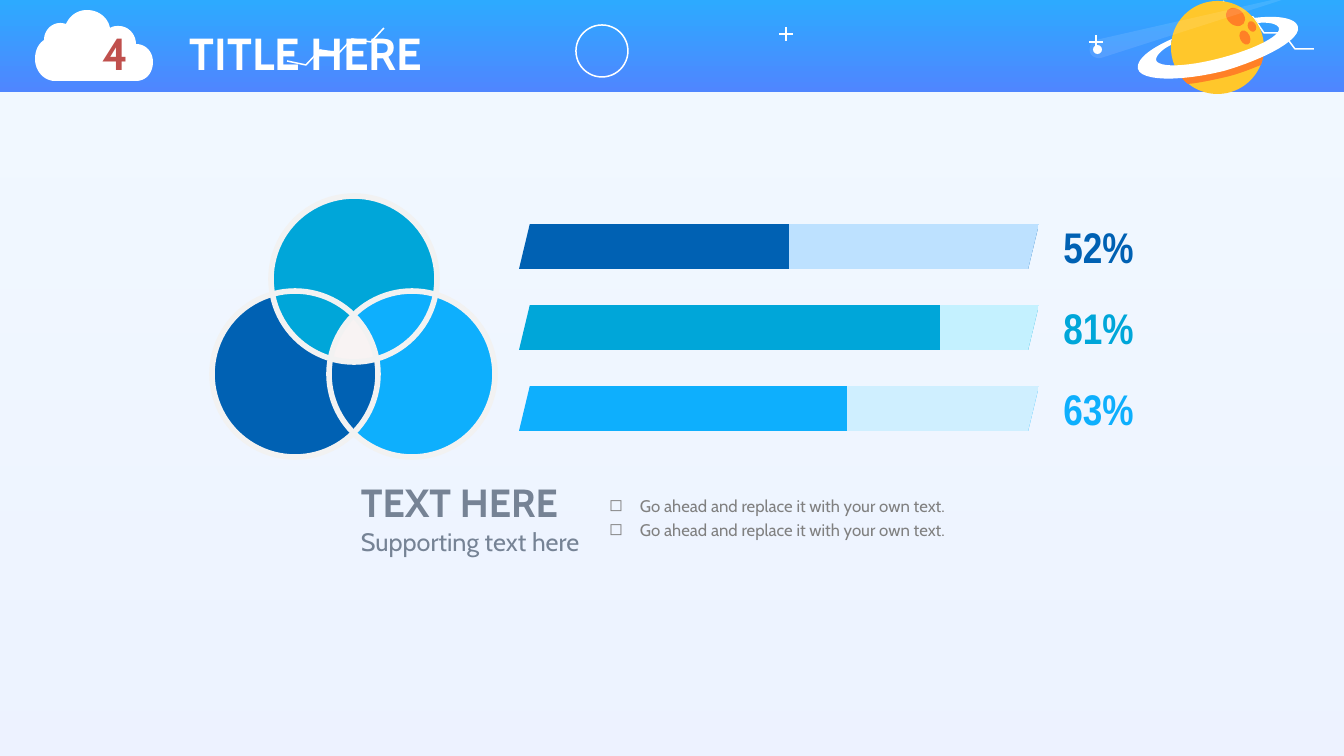
import math

import pptx
import pptx.dml.color
import pptx.enum.shapes
import pptx.enum.text
import pptx.oxml
import pptx.oxml.ns
import pptx.util

PX = 914400 / 100.8
SHAPE = pptx.enum.shapes.MSO_SHAPE
ALIGN = pptx.enum.text.PP_ALIGN
ANCHOR = pptx.enum.text.MSO_ANCHOR
COLORS = {
    "white": "FFFFFF", "sky": "2DAAFF", "indigo": "4F86FF", "mist": "81CBFF",
    "planet": "FFC72B", "orange": "FF8026", "red": "C0504D",
    "navy": "0061B3", "teal": "00A6D9", "azure": "0EAFFD",
    "navy_pale": "BDE1FF", "teal_pale": "C4F1FF", "azure_pale": "CFEFFF",
    "core": "F8F3F3", "ring": "F2F2F2", "slate": "768395", "gray": "808080",
}
BARS = [("navy", 52), ("teal", 81), ("azure", 63)]
CLOUD = [(52, 0), (63, 0, 73, 7, 75, 18), (78, 16, 81, 16, 84, 16), (93, 16, 101, 24, 101, 34),
         (111, 34, 118, 42, 118, 52), (118, 63, 111, 71, 101, 71), (20, 71), (9, 71, 0, 61, 0, 49),
         (0, 41, 3, 34, 9, 30), (9, 21, 16, 13, 25, 13), (26, 13, 28, 13, 31, 14),
         (35, 5, 43, 0, 52, 0)]
BAND = [(124, 65), (126, 59, 127, 55, 128, 49), (118, 55, 103, 60, 86, 65),
        (69, 69, 53, 72, 41, 72), (44, 77, 47, 81, 51, 84), (62, 83, 76, 80, 89, 77),
        (102, 74, 114, 69, 124, 65)]
ORBIT = [(117, 18), (118, 19, 120, 21, 121, 23), (133, 22, 140, 24, 142, 28),
         (144, 36, 118, 49, 84, 58), (50, 67, 21, 68, 19, 60), (19, 56, 24, 50, 34, 45),
         (34, 43, 34, 41, 35, 39), (12, 49, -1, 60, 1, 69), (4, 81, 42, 82, 87, 71),
         (131, 58, 164, 39, 161, 27), (159, 18, 141, 15, 117, 18)]
COMET = [(1272, 0), (1282, 0), (1101, 58), (1096, 59, 1091, 56, 1090, 52),
         (1089, 47, 1091, 42, 1096, 40)]
ZIGZAGS = [[(287, 61), (306, 65), (320, 50), (339, 53), (352, 39), (371, 42), (384, 28)],
           [(1223, 1), (1234, 17), (1253, 17), (1264, 33), (1283, 33), (1295, 49), (1314, 49)]]


def emu(*lengths):
    """Turn px lengths into EMU."""
    return [round(v * PX) for v in lengths]


def rgb(name):
    """Return a named colour."""
    return pptx.dml.color.RGBColor.from_string(COLORS[name])


def assign(obj, **values):
    """Set attributes from format values."""
    for key, value in values.items():
        setattr(obj, key, value)


def paint(sp, fill=None, line=None, width=1.08):
    """Give a shape a plain fill and line, and no shadow."""
    sp.shadow.inherit = False
    for part, color in ((sp.fill, fill), (sp.line.fill, line)):
        if color:
            part.solid()
            part.fore_color.rgb = rgb(color)
        else:
            part.background()
    if line:
        sp.line.width = pptx.util.Pt(width)
    return sp


def blend(sp, stops, angle=0, alpha=100):
    """Fill a shape with gradient stops."""
    sp.fill.gradient()
    sp.fill.gradient_angle = angle
    gs_list = sp.element.spPr.find(".//" + pptx.oxml.ns.qn("a:gsLst"))
    for old in list(gs_list):
        gs_list.remove(old)
    for place, color in stops:
        gs_list.append(pptx.oxml.parse_xml(
            f'<a:gs {pptx.oxml.ns.nsdecls("a")} pos="{place * 1000}"><a:srgbClr val="{COLORS[color]}">'
            f'<a:alpha val="{alpha * 1000}"/></a:srgbClr></a:gs>'))


def preset(s, kind, box, **look):
    """Add a painted preset shape."""
    return paint(s.shapes.add_shape(kind, *emu(*box)), **look)


def outline(s, points, closed=True, **look):
    """Add a painted freeform through points."""
    corners = [emu(*point) for point in points]
    builder = s.shapes.build_freeform(*corners[0], scale=1.0)
    builder.add_line_segments(corners[1:], close=closed)
    return paint(builder.convert_to_shape(), **look)


def trace(segments, x=0, y=0, steps=12):
    """Sample straight and cubic segments into points."""
    points = [segments[0]]
    for seg in segments[1:]:
        if len(seg) == 2:
            points.append(seg)
            continue
        knots = [points[-1], seg[:2], seg[2:4], seg[4:]]
        for i in range(1, steps + 1):
            t = i / steps
            weights = [math.comb(3, k) * t ** k * (1 - t) ** (3 - k) for k in range(4)]
            points.append(tuple(sum(w * k[axis] for w, k in zip(weights, knots)) for axis in (0, 1)))
    return [(x + px, y + py) for px, py in points]


def write(p, text, color, size, bold=False, font="Cabin"):
    """Add a formatted run to a paragraph."""
    r = p.add_run()
    r.text = text
    assign(r.font, name=font, size=pptx.util.Pt(size), bold=bold)
    r.font.color.rgb = rgb(color)


def text_box(s, box, inset=True, **frame):
    """Add a text box and return its frame."""
    tf = s.shapes.add_textbox(*emu(*box)).text_frame
    assign(tf, word_wrap=True)
    if not inset:
        assign(tf, margin_left=0, margin_right=0, margin_top=0, margin_bottom=0)
    assign(tf, **frame)
    return tf


def planet(s, x, y):
    """Draw the ringed planet."""
    preset(s, SHAPE.OVAL, (x + 34, y + 1, 93, 93), fill="planet")
    outline(s, trace(BAND, x, y), fill="orange")
    outline(s, trace(ORBIT, x, y), fill="white")
    for left, top, w, h, turn in ((88, 9, 21, 16, 40), (111, 21, 8, 11, -25), (103, 30, 10, 15, -25)):
        preset(s, SHAPE.OVAL, (x + left, y + top, w, h), fill="orange").rotation = turn


def plus(s, x, y, arm=7):
    """Draw a thin plus sign around a centre."""
    for dx, dy in ((arm, 0), (0, arm)):
        c = s.shapes.add_connector(pptx.enum.shapes.MSO_CONNECTOR.STRAIGHT,
                                   *emu(x - dx, y - dy, x + dx, y + dy))
        c.line.color.rgb = rgb("white")
        c.line.width = pptx.util.Pt(1.08)
        c.element.spPr.append(pptx.oxml.parse_xml(f'<a:effectLst {pptx.oxml.ns.nsdecls("a")}/>'))


def header(s, x, y, w, h):
    """Draw the banner with its sky art, cloud and title."""
    blend(preset(s, SHAPE.RECTANGLE, (x, y, w, h)), [(0, "sky"), (100, "indigo")], 270)
    for zigzag in ZIGZAGS:
        outline(s, trace(zigzag, x, y), closed=False, line="white")
    preset(s, SHAPE.OVAL, (x + 576, y + 25, 52, 52), line="white")
    plus(s, x + 1096, y + 42)
    plus(s, x + 786, y + 34)
    planet(s, x + 1137, y)
    preset(s, SHAPE.OVAL, (x + 1093, y + 45, 9, 9), fill="white")
    blend(outline(s, trace(COMET, x, y)), [(0, "white"), (100, "white")], alpha=10)
    outline(s, trace(CLOUD, x + 35, y + 10), fill="white")
    title = s.shapes.title
    s.shapes.element.append(title.element)
    assign(title, **dict(zip(("left", "top", "width", "height"), emu(x + 15, y + 21, 495, 64))))
    tf = title.text_frame
    assign(tf, margin_left=emu(88)[0], vertical_anchor=ANCHOR.MIDDLE, word_wrap=True,
           auto_size=pptx.enum.text.MSO_AUTO_SIZE.NONE)
    p = tf.paragraphs[0]
    p.alignment = ALIGN.LEFT
    p._p.get_or_add_pPr().append(pptx.oxml.parse_xml(
        f'<a:tabLst {pptx.oxml.ns.nsdecls("a")}><a:tab pos="{emu(87)[0]}" algn="l"/></a:tabLst>'))
    write(p, "4\t", "red", 32, True)
    write(p, "TITLE HERE", "white", 32, True)


def overlap(centers, radius):
    """Return the outline shared by several equal circles."""
    points = []
    for cx, cy in centers:
        for degree in range(360):
            a = math.radians(degree)
            point = (cx + radius * math.cos(a), cy + radius * math.sin(a))
            if all(math.dist(point, c) <= radius + 0.01 for c in centers):
                points.append(point)
    mx, my = (sum(axis) / len(points) for axis in zip(*points))
    return sorted(points, key=lambda q: math.atan2(q[1] - my, q[0] - mx))


def venn(s, x, y, radius=83):
    """Draw three interlocking circles."""
    top, right, left = centers = [(x + 142, y + 83), (x + 200, y + 178), (x + 83, y + 178)]
    discs = [(cx - radius, cy - radius, 2 * radius, 2 * radius) for cx, cy in centers]
    for disc, color in zip(discs, ("teal", "azure", "navy")):
        preset(s, SHAPE.OVAL, disc, fill=color)
    outline(s, overlap([top, left], radius), fill="teal")
    outline(s, overlap(centers, radius), fill="core")
    for disc in discs:
        preset(s, SHAPE.OVAL, disc, line="ring", width=4)


def bars(s, x, y, w, h, pitch=81):
    """Draw the slanted progress bars with their percentages."""
    for i, (color, share) in enumerate(BARS):
        row = y + i * pitch
        sp = preset(s, SHAPE.PARALLELOGRAM, (x, row, w, h))
        sp.adjustments[0] = 0.24
        pale = color + "_pale"
        blend(sp, [(0, color), (share, color), (share, pale), (100, pale)])
        tf = text_box(s, (x + w + 24, row, 71, h), False, word_wrap=False,
                      vertical_anchor=ANCHOR.MIDDLE)
        tf.paragraphs[0].alignment = ALIGN.CENTER
        write(tf.paragraphs[0], f"{share}%", color, 30.6, True, "Arial Narrow")


def caption(s, x, y):
    """Write the heading, its support line and the bullets."""
    write(text_box(s, (x, y, 262, 57)).paragraphs[0], "TEXT HERE", "slate", 28, True)
    write(text_box(s, (x, y + 48, 262, 40)).paragraphs[0], "Supporting text here", "slate", 18)
    tf = text_box(s, (x + 258, y + 19, 383, 58), False, word_wrap=False)
    for p in (tf.paragraphs[0], tf.add_paragraph()):
        p.line_spacing = 1.2
        pPr = p._p.get_or_add_pPr()
        for key, length in (("marL", 31), ("indent", -31)):
            pPr.set(key, str(emu(length)[0]))
        pPr.append(pptx.oxml.parse_xml(f'<a:buChar {pptx.oxml.ns.nsdecls("a")} char="◻"/>'))
        write(p, "Go ahead and replace it with your own text.", "gray", 12)


def main():
    """Build and save the slide."""
    prs = pptx.Presentation()
    prs.slide_width, prs.slide_height = emu(1344, 756)
    s = prs.slides.add_slide(prs.slide_layouts[5])
    blend(preset(s, SHAPE.RECTANGLE, (0, 0, 1344, 756)), [(0, "mist"), (100, "indigo")], 270, 10)
    header(s, 0, 0, 1344, 92)
    venn(s, 212, 196)
    bars(s, 519, 224, 520, 45)
    caption(s, 351, 473)
    prs.save("out.pptx")


if __name__ == "__main__":
    main()
